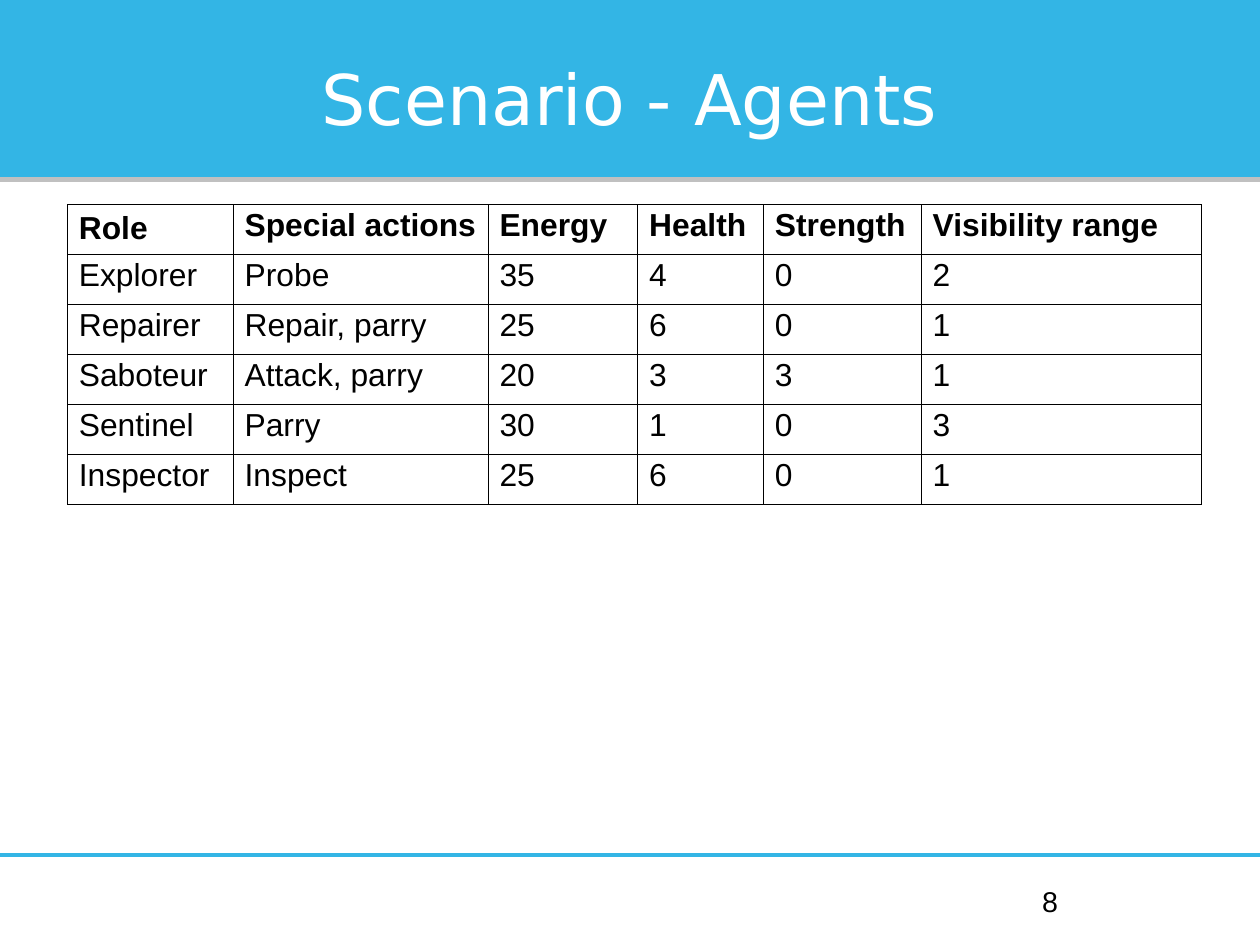
import lxml.etree
import pptx
import pptx.dml.color
import pptx.enum.shapes
import pptx.enum.text
import pptx.oxml.ns
import pptx.util

SLIDE_WIDTH, SLIDE_HEIGHT = pptx.util.Cm(28), pptx.util.Cm(21)
WIDTH, HEIGHT = SLIDE_WIDTH.inches, SLIDE_HEIGHT.inches
BLUE, GREY, BLACK, WHITE = "33B5E5", "C0C0C0", "000000", "FFFFFF"
COLUMN_WIDTHS = [1.45, 2.23, 1.31, 1.1, 1.38, 2.45]
AGENTS = [
    ["Role", "Special actions", "Energy", "Health", "Strength", "Visibility range"],
    ["Explorer", "Probe", "35", "4", "0", "2"],
    ["Repairer", "Repair, parry", "25", "6", "0", "1"],
    ["Saboteur", "Attack, parry", "20", "3", "3", "1"],
    ["Sentinel", "Parry", "30", "1", "0", "3"],
    ["Inspector", "Inspect", "25", "6", "0", "1"],
]
ALIGN = pptx.enum.text.PP_ALIGN
inches = pptx.util.Inches


def color(value):
    return pptx.dml.color.RGBColor.from_string(value)


def write_text(frame, text, size=20, font="Arial", fill=BLACK, bold=False,
               align=ALIGN.LEFT, spacing=0.93):
    paragraph = frame.paragraphs[0]
    paragraph.alignment = align
    paragraph.line_spacing = spacing
    run = paragraph.add_run()
    run.text = text
    run.font.size = pptx.util.Pt(size)
    run.font.name = font
    run.font.bold = bold
    run.font.color.rgb = color(fill)


def add_text_box(slide, box, text, **text_format):
    """Add a text box without margins, its text centred vertically."""
    frame = slide.shapes.add_textbox(*map(inches, box)).text_frame
    frame.word_wrap = True
    frame.vertical_anchor = pptx.enum.text.MSO_ANCHOR.MIDDLE
    frame.margin_left = frame.margin_right = 0
    frame.margin_top = frame.margin_bottom = 0
    write_text(frame, text, **text_format)


def add_rule(slide, left, top, width, line_color, weight):
    rule = slide.shapes.add_connector(
        pptx.enum.shapes.MSO_CONNECTOR.STRAIGHT,
        *map(inches, (left, top, left + width, top)))
    rule.line.color.rgb = color(line_color)
    rule.line.width = pptx.util.Pt(weight)
    lxml.etree.SubElement(rule._element.spPr, pptx.oxml.ns.qn("a:effectLst"))


def add_header(slide, left, top, width, height):
    band = slide.shapes.add_shape(
        pptx.enum.shapes.MSO_SHAPE.ROUNDED_RECTANGLE,
        *map(inches, (left, top, width, height)))
    band.adjustments[0] = 0
    band.shadow.inherit = False
    band.fill.solid()
    band.fill.fore_color.rgb = color(BLUE)
    band.line.fill.background()
    add_rule(slide, left, top + height, width, GREY, 3.4)
    title_box = (left + 0.05 * width, top + 0.2 * height, 0.9 * width, 0.68 * height)
    add_text_box(slide, title_box, "Scenario - Agents", size=44, font="DejaVu Sans",
                 fill=WHITE, align=ALIGN.CENTER, spacing=1.01)


def add_borders(cell, line_color, weight):
    properties = cell._tc.get_or_add_tcPr()
    for edge in ("a:lnL", "a:lnR", "a:lnT", "a:lnB"):
        line = lxml.etree.SubElement(properties, pptx.oxml.ns.qn(edge),
                                     w=str(pptx.util.Pt(weight)))
        solid = lxml.etree.SubElement(line, pptx.oxml.ns.qn("a:solidFill"))
        lxml.etree.SubElement(solid, pptx.oxml.ns.qn("a:srgbClr"), val=line_color)


def add_agent_table(slide, left, top, width, height):
    table = slide.shapes.add_table(
        len(AGENTS), len(COLUMN_WIDTHS),
        *map(inches, (left, top, width, height))).table
    table.first_row = table.horz_banding = False
    for column, share in zip(table.columns, COLUMN_WIDTHS):
        column.width = inches(width * share / sum(COLUMN_WIDTHS))
    for row_index, values in enumerate(AGENTS):
        table.rows[row_index].height = inches(height / len(AGENTS))
        for column_index, value in enumerate(values):
            cell = table.cell(row_index, column_index)
            is_corner = row_index == column_index == 0
            write_text(cell.text_frame, value, bold=row_index == 0,
                       spacing=1.0 if is_corner else 0.93)
            cell.margin_left = cell.margin_right = inches(0.1)
            cell.margin_top = cell.margin_bottom = inches(0.05)
            add_borders(cell, BLACK, 0.57)
            cell.fill.background()


def add_footer(slide, left, top, width, height):
    add_rule(slide, left, top, width, BLUE, 2.83)
    number_width = 2.57
    number_box = (left + 0.95 * width - number_width, top + 0.27 * height,
                  number_width, 0.53 * height)
    add_text_box(slide, number_box, "8", size=18, align=ALIGN.CENTER)


def main():
    presentation = pptx.Presentation()
    presentation.slide_width = SLIDE_WIDTH
    presentation.slide_height = SLIDE_HEIGHT
    slide = presentation.slides.add_slide(presentation.slide_layouts[6])
    slide.background.fill.solid()
    slide.background.fill.fore_color.rgb = color(WHITE)
    add_header(slide, 0, 0, WIDTH, 0.19 * HEIGHT)
    add_agent_table(slide, 0.59, 1.79, sum(COLUMN_WIDTHS), 2.62)
    footer_top = 7.48
    add_footer(slide, 0, footer_top, WIDTH, HEIGHT - footer_top)
    presentation.save("out.pptx")


if __name__ == "__main__":
    main()
